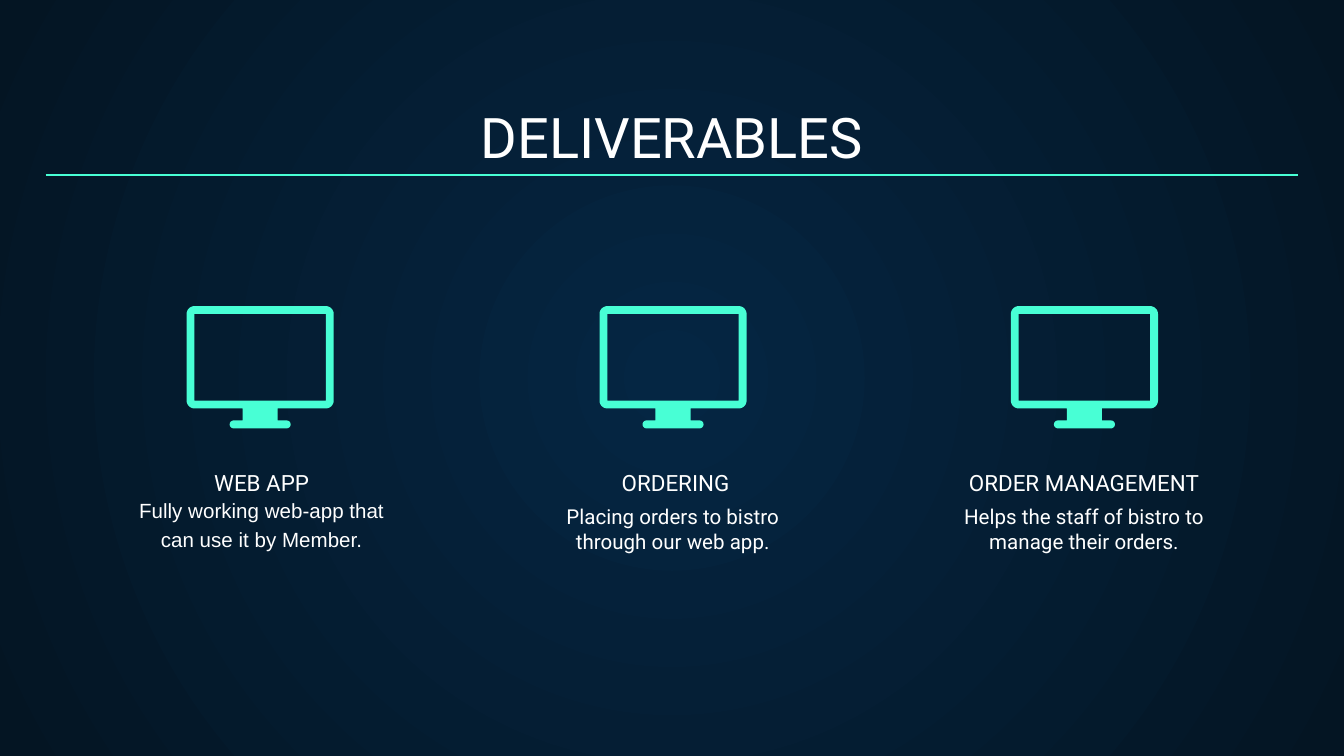
from dataclasses import dataclass
from math import cos, radians, sin

from lxml.etree import SubElement as Sub
from pptx import Presentation
from pptx.dml.color import RGBColor as Rgb
from pptx.enum.shapes import MSO_CONNECTOR as Conn
from pptx.enum.text import MSO_ANCHOR as Anchor, PP_ALIGN as Align
from pptx.oxml.ns import qn
from pptx.slide import Slide
from pptx.util import Pt

HEX = {"text": "FFFFFF", "mint": "48FFD5", "core": "052643", "edge": "041523"}
WIDE, HIGH = 720, 405
MARGIN = 24.5
FIRST, PITCH = 140.2, 220.3
HEAD_W, BODY_W = 163.4, 149
ICON_W, ICON_TOP, FRAME_H, RIM = 78.8, 164, 54.8, 4.2


@dataclass
class Item:
    head: str
    body: str
    icon: float
    top: float = 262.8
    font: str = "Roboto"
    lead: float | None = None
    gap: float = 0


ITEMS = [
    Item("WEB APP", "Fully working web-app that can use it by Member.",
         100, top=257.8, font="Arial", lead=1.15, gap=6),
    Item(" ORDERING", "Placing orders to bistro through our web app.", 321.2),
    Item("ORDER MANAGEMENT", "Helps the staff of bistro to manage their orders.", 541.6),
]


def tint(name: str) -> Rgb:
    return Rgb.from_string(HEX[name])


def glow(slide: Slide) -> None:
    """Fill the background with a gradient running out from the centre."""
    fill = slide.background.fill
    fill.gradient()
    for stop, name in zip(fill.gradient_stops, ("core", "edge")):
        stop.color.rgb = tint(name)
    grad = slide.element.find(".//" + qn("a:gradFill"))
    grad.remove(grad.find(qn("a:lin")))
    ring = Sub(grad, qn("a:path"), {"path": "circle"})
    Sub(ring, qn("a:fillToRect"), {side: "50000" for side in "ltrb"})


def write(slide: Slide, text: str, left: float, top: float, width: float,
          height: float, *, size: float, font: str = "Roboto",
          anchor: Anchor = Anchor.TOP, lead: float | None = None,
          gap: float = 0) -> None:
    box = slide.shapes.add_textbox(Pt(left), Pt(top), Pt(width), Pt(height))
    frame = box.text_frame
    frame.word_wrap = True
    frame.vertical_anchor = anchor
    frame.margin_left = frame.margin_right = Pt(7.2)
    frame.margin_top = frame.margin_bottom = Pt(7.2)
    para = frame.paragraphs[0]
    para.alignment = Align.CENTER
    para.line_spacing = lead
    para.space_before = Pt(gap)
    run = para.add_run()
    run.text = text
    run.font.size = Pt(size)
    run.font.name = font
    run.font.color.rgb = tint("text")


def rule(slide: Slide, top: float) -> None:
    line = slide.shapes.add_connector(
        Conn.STRAIGHT, Pt(MARGIN), Pt(top), Pt(WIDE - MARGIN), Pt(top))
    line.line.color.rgb = tint("mint")
    line.line.width = Pt(0.75)
    Sub(line.element.spPr, qn("a:effectLst"))


def arc(x: float, y: float, size: float, start: int, sweep: int = 90) -> list:
    """Points on a clockwise arc around (x, y)."""
    turns = [radians(start + sweep * i / 8) for i in range(9)]
    return [(x + size * cos(t), y + size * sin(t)) for t in turns]


def screen(slide: Slide, left: float, top: float) -> None:
    """Draw a monitor as one outline with a hole for its display."""
    mid = ICON_W / 2
    neck, foot, bend = 9.4, 14.2, 2.15
    base = FRAME_H + 6.4
    low, right = FRAME_H - RIM, ICON_W - RIM
    outer = [
        *arc(RIM, RIM, RIM, 180), *arc(right, RIM, RIM, 270),
        *arc(right, low, RIM, 0),
        (mid + neck, FRAME_H), (mid + neck, base),
        *arc(mid + foot, base + bend, bend, 270, 180),
        *arc(mid - foot, base + bend, bend, 90, 180),
        (mid - neck, base), (mid - neck, FRAME_H),
        *arc(RIM, low, RIM, 90),
    ]
    hole = [(RIM, RIM), (RIM, low), (right, low), (right, RIM)]
    rings = [[(Pt(left + x), Pt(top + y)) for x, y in ring] for ring in (outer, hole)]
    pen = slide.shapes.build_freeform(*rings[0][0], scale=1.0)
    pen.add_line_segments(rings[0][1:], close=True)
    pen.move_to(*rings[1][0])
    pen.add_line_segments(rings[1][1:], close=True)
    shape = pen.convert_to_shape()
    shape.shadow.inherit = False
    shape.fill.solid()
    shape.fill.fore_color.rgb = tint("mint")
    shape.line.fill.background()


def column(slide: Slide, item: Item, mid: float) -> None:
    write(slide, item.body, mid - BODY_W / 2, item.top, BODY_W, 39.6,
          size=11, font=item.font, lead=item.lead, gap=item.gap)
    write(slide, item.head, mid - HEAD_W / 2, 257.8, HEAD_W, 15.1,
          size=12, anchor=Anchor.BOTTOM)
    screen(slide, item.icon, ICON_TOP)


def main() -> None:
    deck = Presentation()
    deck.slide_width, deck.slide_height = Pt(WIDE), Pt(HIGH)
    slide = deck.slides.add_slide(deck.slide_layouts[6])
    glow(slide)
    write(slide, "DELIVERABLES", MARGIN, 50.4, WIDE - 2 * MARGIN, 47.5,
          size=30, anchor=Anchor.BOTTOM)
    rule(slide, 93.7)
    for i, item in enumerate(ITEMS):
        column(slide, item, FIRST + i * PITCH)
    deck.save("out.pptx")


if __name__ == "__main__":
    main()
